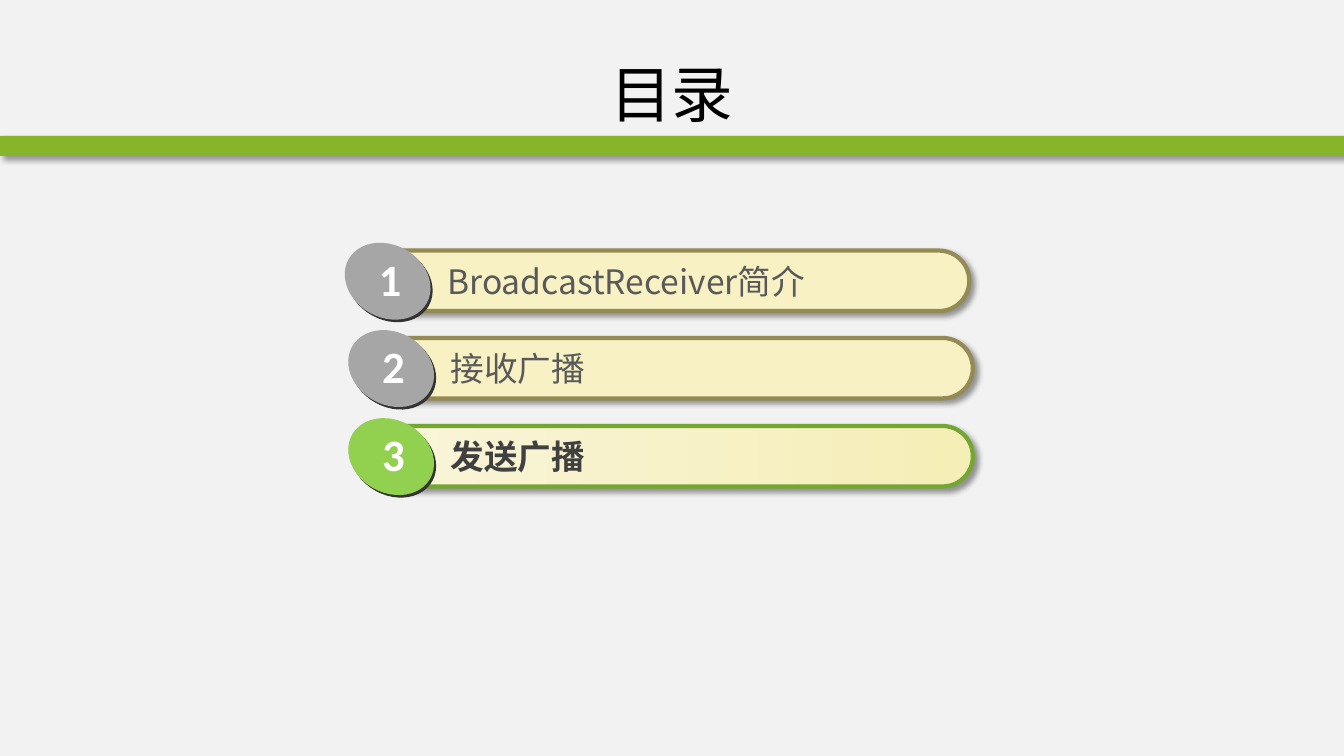
"""Build the agenda slide with three numbered entries, the third highlighted."""
import pptx
import pptx.dml.color
import pptx.enum.dml
import pptx.enum.shapes
import pptx.enum.text
import pptx.oxml
import pptx.oxml.ns
from pptx.util import Pt

SHADOW = (
    f'<a:effectLst {pptx.oxml.ns.nsdecls("a")}>'
    '<a:outerShdw blurRad="50800" dist="38100" dir="2700000" algn="tl" rotWithShape="0">'
    '<a:srgbClr val="000000"><a:alpha val="40000"/></a:srgbClr>'
    '</a:outerShdw></a:effectLst>'
)
CJK = "Noto Sans CJK SC"
rgb = pptx.dml.color.RGBColor.from_string
MSO = pptx.enum.shapes.MSO_SHAPE


def add_shape(shapes, kind, box, fill, line=None, shadow=False):
    """Add a filled shape; box is left, top, width, height in points."""
    sp = shapes.add_shape(kind, *map(Pt, box))
    sp.fill.solid()
    sp.fill.fore_color.rgb = rgb(fill)
    if line:
        sp.line.color.rgb = rgb(line)
        sp.line.width = Pt(3)
    else:
        sp.line.fill.background()
    sp.shadow.inherit = False
    if shadow:
        effects = sp._element.spPr.find(pptx.oxml.ns.qn("a:effectLst"))
        effects.getparent().replace(effects, pptx.oxml.parse_xml(SHADOW))
    return sp


def write(tf, text, font, size, color, bold=False):
    """Put one line of text in a frame and format its paragraph."""
    p = tf.paragraphs[0]
    p.text = text
    p.font.size = Pt(size)
    p.font.bold = bold
    p.font.color.rgb = rgb(color)
    p.font.name = font
    props = p._p.pPr.find(pptx.oxml.ns.qn("a:defRPr"))
    ea = props.makeelement(pptx.oxml.ns.qn("a:ea"), {"typeface": font})
    props.append(ea)
    return p


prs = pptx.Presentation()
prs.slide_width, prs.slide_height = Pt(960), Pt(540)
s = prs.slides.add_slide(prs.slide_layouts[5])
s.background.fill.solid()
s.background.fill.fore_color.rgb = rgb("F2F2F2")

add_shape(s.shapes, MSO.RECTANGLE, (0, 97, 960, 14.4), "88B429", shadow=True)

title = s.shapes.title
title.left, title.top, title.width, title.height = Pt(48), Pt(21.6), Pt(864), Pt(90)
title.text_frame.vertical_anchor = pptx.enum.text.MSO_ANCHOR.MIDDLE
p = write(title.text_frame, "目录", CJK, 44, "000000")
p.alignment = pptx.enum.text.PP_ALIGN.CENTER

entries = [
    ("BroadcastReceiver简介", 260.4, 179, False),
    ("接收广播", 262.9, 241.4, False),
    ("发送广播", 262.9, 304.3, True),
]
for number, (text, left, top, current) in enumerate(entries, 1):
    shapes = s.shapes.add_group_shape().shapes

    bar = add_shape(shapes, MSO.ROUNDED_RECTANGLE, (left, top, 432, 43.2), "F7F1C4",
                    "74A731" if current else "948A54", shadow=True)
    bar.adjustments[0] = 0.5
    if current:
        bar.fill.gradient()
        bar.fill.gradient_angle = 0
        for stop, color in zip(bar.fill.gradient_stops, ("F9F5D9", "F5EEB7")):
            stop.color.rgb = rgb(color)

    label = shapes.add_textbox(Pt(left + 52), Pt(top + 3.8), Pt(340), Pt(36.4))
    label.text_frame.word_wrap = True
    write(label.text_frame, text, CJK, 24, "404040" if current else "595959", current)

    disc = "92D050" if current else "A6A6A6"
    for dx, dy, color in ((-14, -2.2, "333333"), (-15.5, -4, disc)):
        oval = add_shape(shapes, MSO.OVAL, (left + dx, top + dy, 64, 51.8), color)
        oval.rotation = 29.3

    digit = shapes.add_textbox(Pt(left + 3), Pt(top - 2.9), Pt(31), Pt(46))
    digit.text_frame.word_wrap = False
    write(digit.text_frame, str(number), "Calibri", 32, "FFFFFF", True)

    for box in (label, digit):
        box.text_frame.auto_size = pptx.enum.text.MSO_AUTO_SIZE.SHAPE_TO_FIT_TEXT

prs.save("out.pptx")
